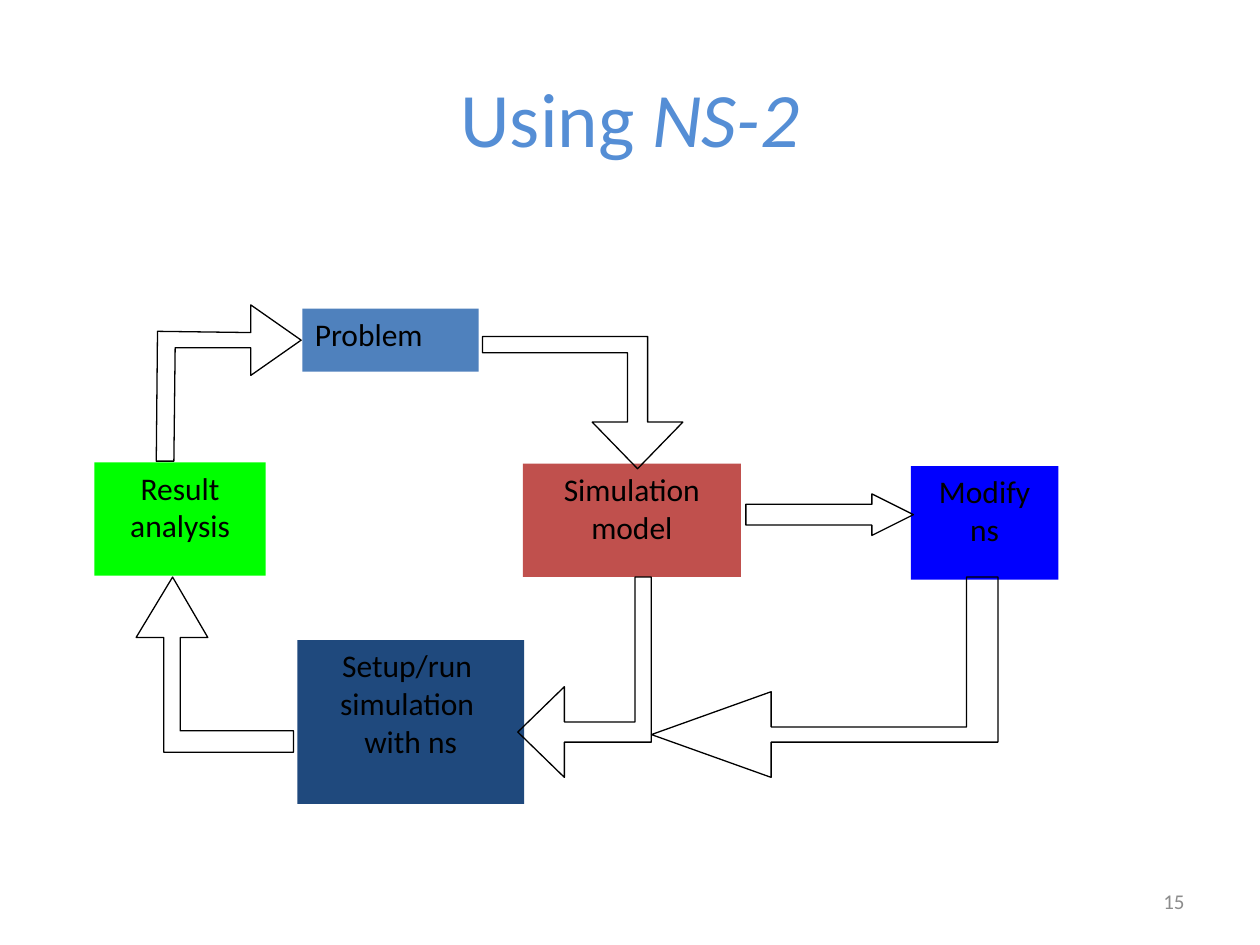
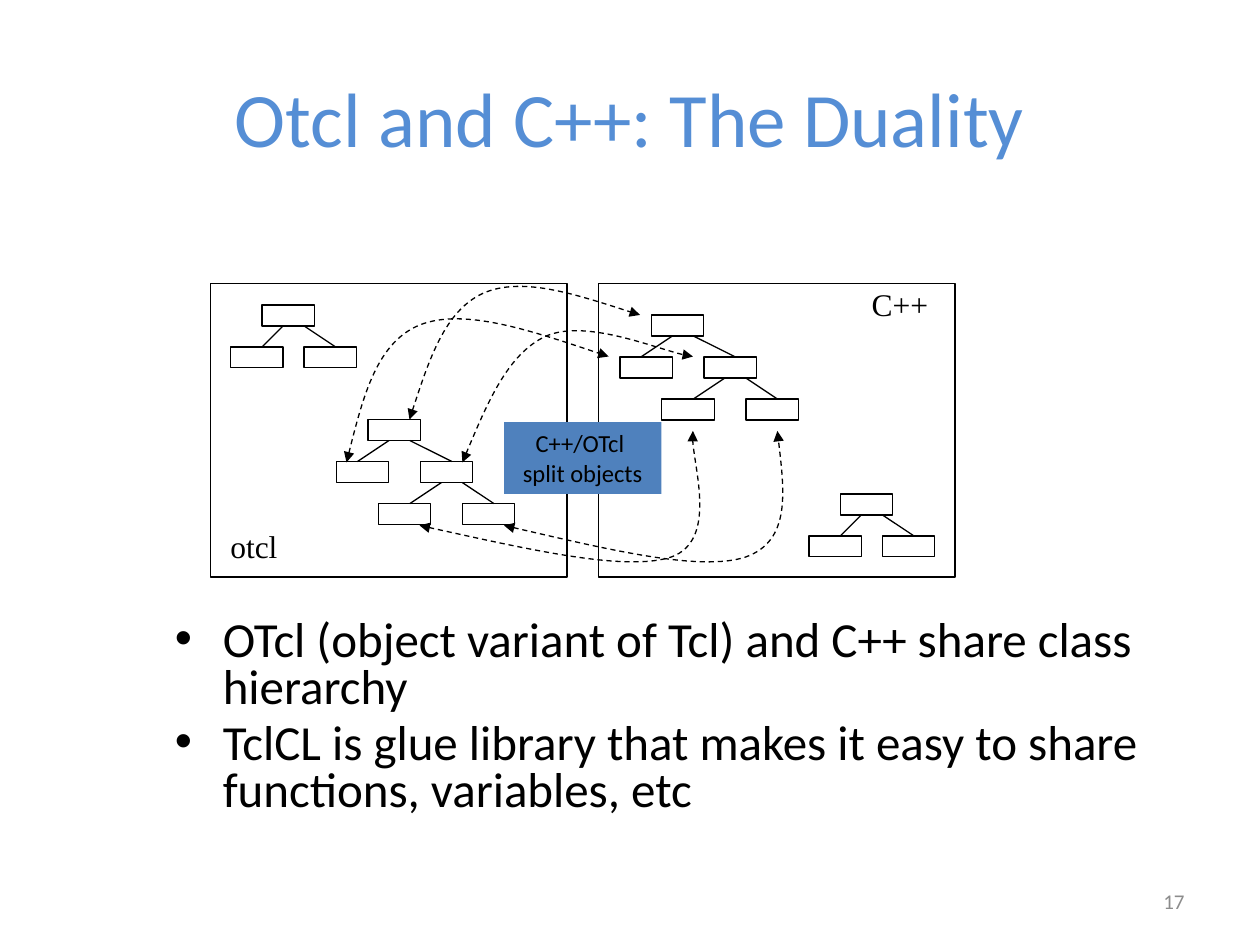
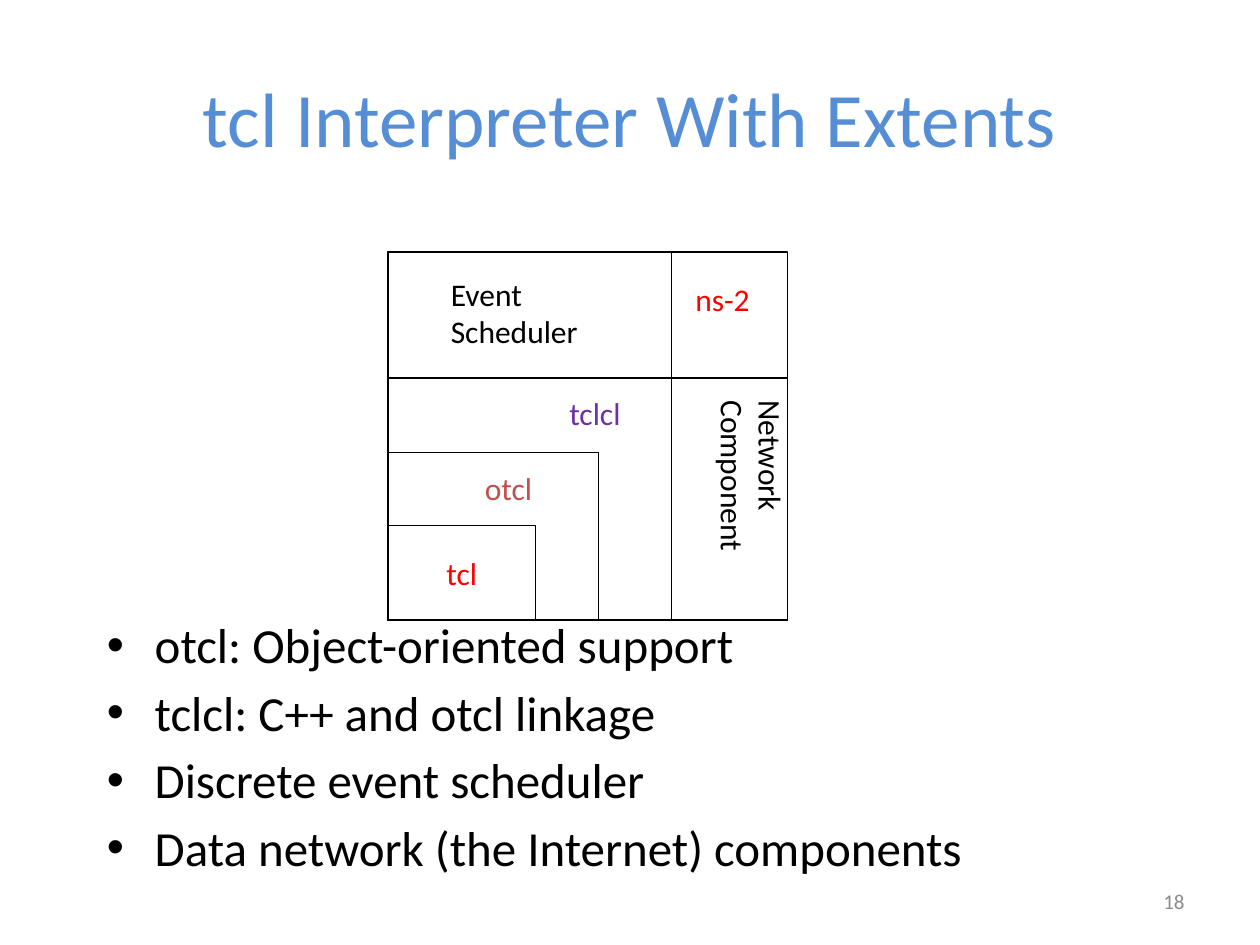
from dataclasses import dataclass

from lxml import etree
from pptx import Presentation
from pptx.dml.color import RGBColor
from pptx.enum.dml import MSO_LINE
from pptx.enum.shapes import MSO_CONNECTOR, MSO_SHAPE
from pptx.enum.text import MSO_ANCHOR, MSO_AUTO_SIZE, PP_ALIGN
from pptx.oxml.ns import qn
from pptx.util import Inches, Pt

LEFT, CENTER, RIGHT = PP_ALIGN.LEFT, PP_ALIGN.CENTER, PP_ALIGN.RIGHT
TOP, MIDDLE = MSO_ANCHOR.TOP, MSO_ANCHOR.MIDDLE
GROW, FIXED = MSO_AUTO_SIZE.SHAPE_TO_FIT_TEXT, MSO_AUTO_SIZE.NONE
RECT, RIGHT_ARROW = MSO_SHAPE.RECTANGLE, MSO_SHAPE.RIGHT_ARROW
STRAIGHT, DASH = MSO_CONNECTOR.STRAIGHT, MSO_LINE.DASH


@dataclass(frozen=True)
class Theme:
    """Fonts, type sizes and colours of the deck."""
    font: str = "Calibri"
    serif: str = "Times New Roman"
    title_size: int = 44
    body_size: int = 28
    label_size: int = 18
    small_size: int = 14
    number_size: int = 12
    title: str = "558ED5"
    number: str = "8C8C8C"
    ink: str = "000000"
    blue: str = "4F81BD"
    brick: str = "C0504D"
    navy: str = "1F497D"
    lime: str = "00FF00"
    pure_blue: str = "0000FF"
    red: str = "FF0000"
    purple: str = "7030A0"
    line_width: float = 0.75


THEME = Theme()

STAGES = [
    (("Problem",), (2.4, 2.45, 1.4, 0.5), THEME.blue, LEFT),
    (("Simulation", "model"), (4.15, 3.68, 1.73, 0.9), THEME.brick, CENTER),
    (("Setup/run ", "simulation ", "with ns"), (2.36, 5.08, 1.8, 1.3), THEME.navy, CENTER),
    (("Result", "analysis"), (0.75, 3.67, 1.36, 0.9), THEME.lime, CENTER),
    (("Modify", "ns"), (7.23, 3.7, 1.17, 0.9), THEME.pure_blue, CENTER),
]

BENT_ARROWS = [
    [(1.37, 4.58), (1.65, 5.06), (1.43, 5.06), (1.43, 5.8), (2.33, 5.8),
     (2.33, 5.97), (1.3, 5.97), (1.3, 5.06), (1.08, 5.06)],
    [(5.06, 3.72), (4.7, 3.35), (4.98, 3.35), (4.98, 2.8), (3.83, 2.8),
     (3.83, 2.67), (5.14, 2.67), (5.14, 3.35), (5.42, 3.35)],
    [(2.39, 2.7), (1.99, 2.98), (1.99, 2.76), (1.39, 2.76), (1.38, 3.66),
     (1.24, 3.66), (1.25, 2.63), (1.99, 2.64), (1.99, 2.42)],
    [(4.11, 5.81), (4.48, 5.45), (4.48, 5.73), (5.04, 5.73), (5.04, 4.58),
     (5.17, 4.58), (5.17, 5.89), (4.48, 5.89), (4.48, 6.17)],
    [(5.17, 5.83), (6.12, 5.49), (6.12, 5.77), (7.67, 5.77), (7.67, 4.58),
     (7.92, 4.58), (7.92, 5.89), (6.12, 5.89), (6.12, 6.17)],
]

SPLIT_LINKS = [
    [(3.67, 3.67), (3.85, 3.24), (4.03, 2.81), (4.33, 2.67),
     (4.64, 2.53), (5.31, 2.81), (5.5, 2.83)],
    [(3.33, 4.17), (4.15, 4.35), (4.97, 4.54), (5.33, 4.42),
     (5.69, 4.29), (5.47, 3.58), (5.5, 3.42)],
    [(4, 4.17), (4.78, 4.35), (5.56, 4.54), (5.92, 4.42),
     (6.28, 4.29), (6.22, 3.85), (6.17, 3.42)],
    [(2.75, 3.67), (2.87, 3.19), (2.99, 2.72), (3.33, 2.58),
     (3.68, 2.44), (4.26, 2.64), (4.83, 2.83)],
    [(3.25, 3.33), (3.39, 2.9), (3.53, 2.47), (3.83, 2.33),
     (4.14, 2.19), (4.61, 2.35), (5.08, 2.5)],
]

UNIT = 1 / 12
NODE_W, NODE_H, LEVEL = 5, 2, 4
PAIR = ((-3, 2, -2), (4, 4, 3))
FORK = ((-3, 2, -3), (5, 4, 4))
LEAVES = ((-4, 2, -3), (4, 4, 3))


def rgb(value):
    """Turn a hex string into a colour."""
    return RGBColor.from_string(value)


def write(s, lines, size=THEME.label_size, color=THEME.ink, font=THEME.font,
          align=LEFT, anchor=TOP, wrap=False, fit=GROW):
    """Fill a shape with one paragraph per line and return the text frame."""
    tf = s.text_frame
    frame = {"word_wrap": wrap, "auto_size": fit, "vertical_anchor": anchor}
    for name, value in frame.items():
        setattr(tf, name, value)
    for i, line in enumerate(lines):
        p = tf.paragraphs[0] if i == 0 else tf.add_paragraph()
        p.alignment = align
        for text, italic in [(line, False)] if isinstance(line, str) else line:
            r = p.add_run()
            r.text = text
            for name, value in {"name": font, "size": Pt(size), "italic": italic}.items():
                setattr(r.font, name, value)
            r.font.color.rgb = rgb(color)
    return tf


def add_text(sp, at, lines, **style):
    """Add a text box."""
    s = sp.add_textbox(*map(Inches, at))
    write(s, lines, **style)
    return s


def outline(s):
    """Give a shape the thin black line."""
    s.line.color.rgb = rgb(THEME.ink)
    s.line.width = Pt(THEME.line_width)


def add_box(sp, at, fill=None, kind=RECT):
    """Add a filled box without a line, or an outlined one without a fill."""
    s = sp.add_shape(kind, *map(Inches, at))
    s.shadow.inherit = False
    if fill:
        s.fill.solid()
        s.fill.fore_color.rgb = rgb(fill)
        s.line.fill.background()
    else:
        s.fill.background()
        outline(s)
    return s


def add_outline(sp, points, close=True):
    """Add an unfilled freeform through the points."""
    start, *rest = [(Inches(x), Inches(y)) for x, y in points]
    builder = sp.build_freeform(*start)
    builder.add_line_segments(rest, close=close)
    s = builder.convert_to_shape()
    s.shadow.inherit = False
    s.fill.background()
    outline(s)
    return s


def add_curve(sp, points):
    """Add a dashed Bezier curve with an arrowhead at both ends."""
    s = add_outline(sp, points, close=False)
    s.line.dash_style = DASH
    steps = list(s.element.iter(qn("a:lnTo")))
    for i in range(0, len(steps), 3):
        curve = etree.SubElement(steps[0].getparent(), qn("a:cubicBezTo"))
        for step in steps[i:i + 3]:
            curve.append(step[0])
    for step in steps:
        step.getparent().remove(step)
    ln = s.element.spPr.find(qn("a:ln"))
    for end in ("a:headEnd", "a:tailEnd"):
        etree.SubElement(ln, qn(end), type="triangle")


def add_line(sp, start, end):
    """Add a straight thin line."""
    s = sp.add_connector(STRAIGHT, *map(Inches, (*start, *end)))
    outline(s)
    etree.SubElement(s.element.spPr, qn("a:effectLst"))


def add_node(sp, x, y):
    """Add one class box of a tree."""
    add_box(sp, (x, y, NODE_W * UNIT, NODE_H * UNIT))


def add_children(sp, x, y, branches):
    """Add two child boxes with their lines and return the right child's place."""
    child_y = y + LEVEL * UNIT
    for shift, foot, run in branches:
        child_x = x + shift * UNIT
        add_node(sp, child_x, child_y)
        foot_x = x + foot * UNIT
        add_line(sp, (foot_x, y + NODE_H * UNIT), (foot_x + run * UNIT, child_y))
    return child_x, child_y


def add_small_tree(sp, x, y):
    """Add a root with two children."""
    add_node(sp, x, y)
    add_children(sp, x, y, PAIR)


def add_tall_tree(sp, x, y):
    """Add a root with two children and two leaves below the right one."""
    add_node(sp, x, y)
    add_children(sp, *add_children(sp, x, y, FORK), LEAVES)


def add_bullets(sp, at, lines, line_spacing=1.0):
    """Add the bulleted body text."""
    s = add_text(sp, at, lines, size=THEME.body_size, wrap=True, fit=FIXED)
    for p in s.text_frame.paragraphs:
        p.space_before = Pt(5)
        p.line_spacing = line_spacing
        pPr = p._p.get_or_add_pPr()
        pPr.set("marL", str(Inches(0.38)))
        pPr.set("indent", str(Inches(-0.38)))
        etree.SubElement(pPr, qn("a:buFont"), typeface="Arial")
        etree.SubElement(pPr, qn("a:buChar"), char="•")


def add_slide(prs, title, number):
    """Add a slide with its title and number and return its shapes."""
    sp = prs.slides.add_slide(prs.slide_layouts[6]).shapes
    add_text(sp, (0.5, 0.3, 9, 1.25), [title], size=THEME.title_size, color=THEME.title,
             align=CENTER, anchor=MIDDLE, wrap=True, fit=FIXED)
    add_text(sp, (7.17, 6.95, 2.33, 0.4), [str(number)], size=THEME.number_size,
             color=THEME.number, align=RIGHT, anchor=MIDDLE, wrap=True, fit=FIXED)
    return sp


def build_workflow(prs):
    """Build the simulation workflow slide."""
    sp = add_slide(prs, [("Using ", False), ("NS-2", True)], 15)
    for lines, at, fill, align in STAGES:
        write(add_box(sp, at, fill), lines, align=align)
    for points in BENT_ARROWS:
        add_outline(sp, points)
    s = add_box(sp, (5.92, 3.92, 1.33, 0.33), kind=RIGHT_ARROW)
    s.adjustments[0], s.adjustments[1] = 0.5, 1


def build_duality(prs):
    """Build the slide on the two class hierarchies."""
    sp = add_slide(prs, "Otcl and C++: The Duality", 17)
    add_bullets(sp, (1.29, 4.87, 8.5, 1.83), [
        "OTcl (object variant of Tcl) and C++ share class hierarchy",
        "TclCL is glue library that makes it easy to share functions, variables, etc",
    ], line_spacing=0.8)
    for x in (1.67, 4.75):
        add_box(sp, (x, 2.25, 2.83, 2.33))
    for root in ((2.08, 2.42), (6.67, 3.92)):
        add_small_tree(sp, *root)
    for root in ((2.92, 3.33), (5.17, 2.5)):
        add_tall_tree(sp, *root)
    add_text(sp, (6.82, 2.21, 0.8, 0.5), ["C++"], font=THEME.serif)
    add_text(sp, (1.73, 4.13, 0.7, 0.5), ["otcl"], font=THEME.serif)
    for points in SPLIT_LINKS:
        add_curve(sp, points)
    write(add_box(sp, (4, 3.35, 1.25, 0.57), THEME.blue), ["C++/OTcl ", "split objects"],
          size=THEME.small_size, align=CENTER, wrap=True)


def build_interpreter(prs):
    """Build the slide on the nested interpreter layers."""
    sp = add_slide(prs, "tcl Interpreter With Extents", 18)
    add_bullets(sp, (0.75, 4.83, 8.5, 2.25), [
        "otcl: Object-oriented support",
        "tclcl: C++ and otcl linkage",
        "Discrete event scheduler",
        "Data network (the Internet) components",
    ])
    left, bottom = 3.08, 4.92
    layers = [(1.17, 0.75), (1.67, 1.33), (3.17, 1.92), (2.25, 2.92), (2.25, 1.92), (3.17, 2.92)]
    boxes = [add_box(sp, (left, bottom - h, w, h)) for w, h in layers]
    write(boxes[0], ["tcl"], color=THEME.red, align=CENTER, anchor=MIDDLE, fit=FIXED)
    add_text(sp, (3.75, 3.67, 0.58, 0.4), ["otcl"], color=THEME.brick)
    add_text(sp, (4.42, 3.08, 0.61, 0.4), ["tclcl"], color=THEME.purple)
    add_text(sp, (5.42, 2.17, 0.64, 0.4), ["ns-2"], color=THEME.red)
    add_text(sp, (3.48, 2.13, 1.53, 0.9), ["Event", "Scheduler"])
    add_text(sp, (4.99, 3.51, 1.76, 0.9), ["Network", "Component"]).rotation = 90


def main():
    """Build and save the deck."""
    prs = Presentation()
    prs.slide_width, prs.slide_height = Inches(10), Inches(7.5)
    build_workflow(prs)
    build_duality(prs)
    build_interpreter(prs)
    prs.save("out.pptx")


if __name__ == "__main__":
    main()
